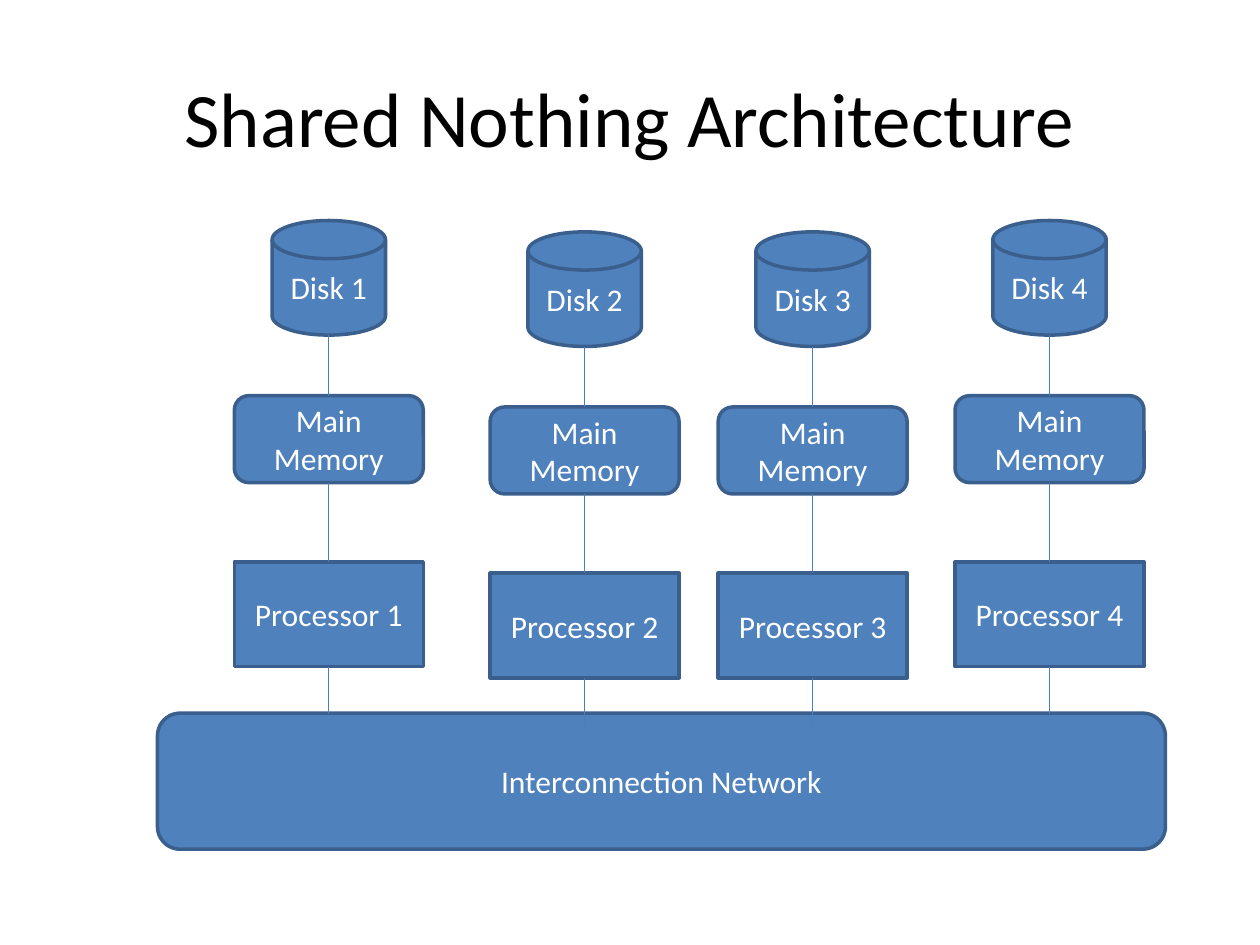
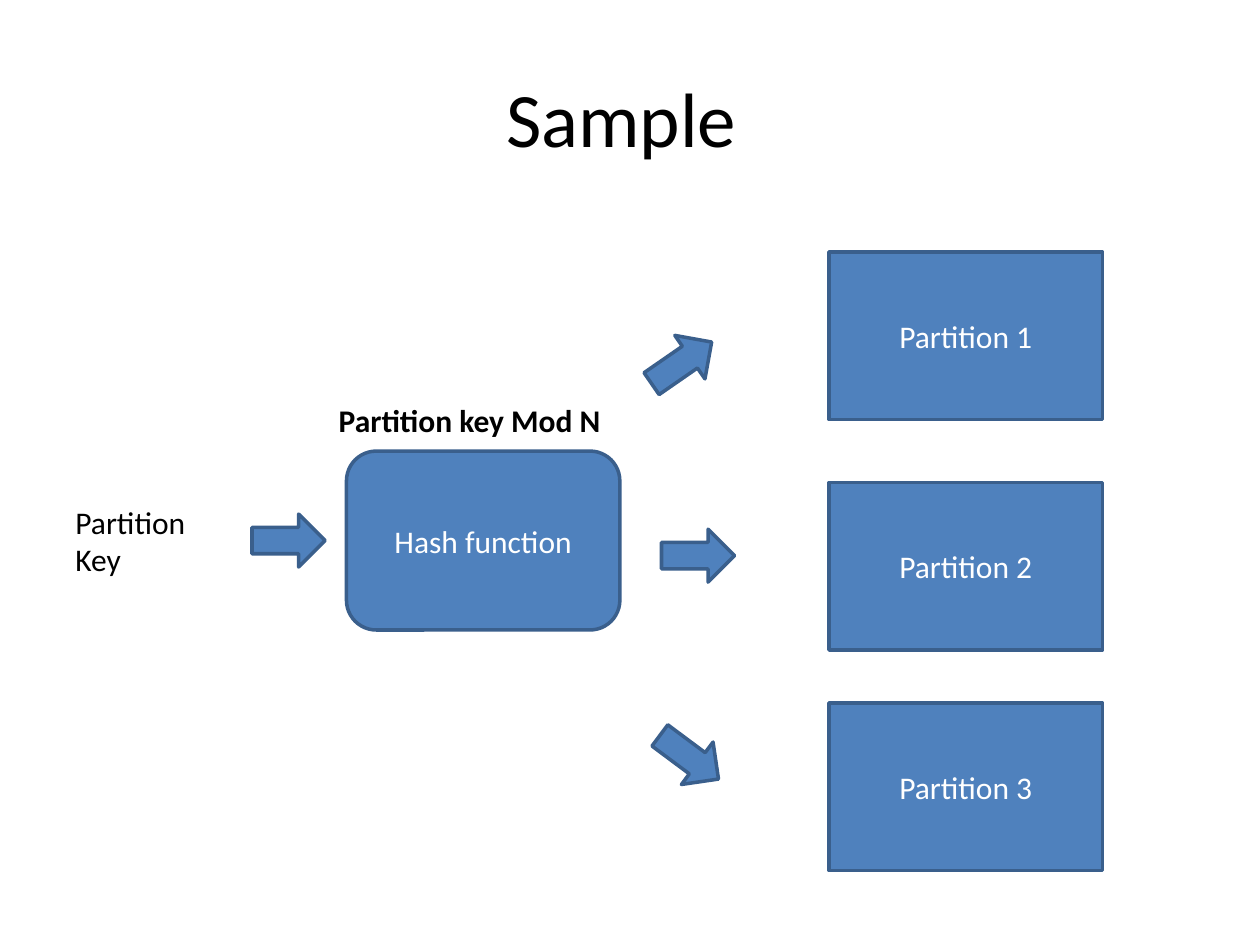
from pptx import Presentation
from pptx.dml.color import RGBColor
from pptx.enum import shapes, text
from pptx.util import Inches, Pt
from lxml import etree

BLUE = RGBColor(0x4F, 0x81, 0xBD)
EDGE = RGBColor(0x3A, 0x5F, 0x8C)
WIRE = RGBColor(0x4B, 0x7E, 0xBC)
WHITE = RGBColor(0xFF, 0xFF, 0xFF)
BLACK = RGBColor(0, 0, 0)
FONT = "Calibri"
KIND = shapes.MSO_SHAPE
DRAW = "http://schemas.openxmlformats.org/drawingml/2006/main"


def write(frame, lines, size=18, color=BLACK, align=text.PP_ALIGN.LEFT, bold=False):
    frame.word_wrap = True
    for i, line in enumerate(lines):
        para = frame.paragraphs[0] if i == 0 else frame.add_paragraph()
        para.alignment = align
        run = para.add_run()
        run.text = line
        run.font.name = FONT
        run.font.size = Pt(size)
        run.font.bold = bold
        run.font.color.rgb = color


def block(slide, kind, x, y, w, h, label=None):
    shape = slide.shapes.add_shape(kind, Inches(x), Inches(y), Inches(w), Inches(h))
    shape.shadow.inherit = False
    shape.fill.solid()
    shape.fill.fore_color.rgb = BLUE
    shape.line.color.rgb = EDGE
    shape.line.width = Pt(2)
    if label:
        shape.text_frame.vertical_anchor = text.MSO_ANCHOR.MIDDLE
        write(shape.text_frame, [label], color=WHITE, align=text.PP_ALIGN.CENTER)
    return shape


deck = Presentation()
deck.slide_width = Inches(10)
deck.slide_height = Inches(7.5)

pages = []
for head in ("Shared Nothing Architecture", "Sample "):
    page = deck.slides.add_slide(deck.slide_layouts[5])
    title = page.shapes.title
    title.left, title.top = Inches(0.5), Inches(0.3)
    title.width, title.height = Inches(9), Inches(1.25)
    title.text_frame.vertical_anchor = text.MSO_ANCHOR.MIDDLE
    write(title.text_frame, [head], 44, align=text.PP_ALIGN.CENTER)
    pages.append(page)
nodes, hashing = pages

block(nodes, KIND.ROUNDED_RECTANGLE, 1.25, 5.66, 8, 1.08, "Interconnection Network")
stacks = [(2.61, 1.75), (4.64, 1.84), (6.45, 1.84), (8.33, 1.75)]
for num, (mid, top) in enumerate(stacks, 1):
    chip = block(nodes, KIND.FLOWCHART_PROCESS, mid - 0.75, top + 2.71, 1.5, 0.83,
                 f"Processor {num}")
    store = block(nodes, KIND.ROUNDED_RECTANGLE, mid - 0.75, top + 1.39, 1.5, 0.69,
                  "Main Memory")
    block(nodes, KIND.FLOWCHART_MAGNETIC_DISK, mid - 0.45, top, 0.9, 0.91, f"Disk {num}")
    links = [(0.91, 1.39, None, store), (2.08, 2.71, store, chip), (3.54, 3.92, chip, None)]
    for start, stop, upper, lower in links:
        wire = nodes.shapes.add_connector(
            shapes.MSO_CONNECTOR.STRAIGHT,
            Inches(mid), Inches(top + start), Inches(mid), Inches(top + stop))
        if upper:
            wire.begin_connect(upper, 2)
        if lower:
            wire.end_connect(lower, 0)
        wire.line.color.rgb = WIRE
        wire.line.width = Pt(0.75)
        etree.SubElement(wire._element.spPr, f"{{{DRAW}}}effectLst")

for num, top in enumerate((2, 3.83, 5.58), 1):
    block(hashing, KIND.FLOWCHART_PROCESS, 6.58, top, 2.17, 1.33, f"Partition {num}")
block(hashing, KIND.FLOWCHART_ALTERNATE_PROCESS, 2.75, 3.58, 2.17, 1.42, "Hash function")

arrows = [(2, 4.08, 0), (5.25, 4.2, 0), (5.12, 2.67, 325.3), (5.18, 5.8, 36.7)]
for left, top, turn in arrows:
    arrow = block(hashing, KIND.RIGHT_ARROW, left, top, 0.58, 0.42)
    arrow.rotation = turn

notes = [
    (0.5, 3.94, 1.5, 0.71, ["Partition", "Key"], False),
    (2.59, 3.13, 2.33, 0.4, ["Partition key Mod N"], True),
]
for x, y, w, h, lines, bold in notes:
    box = hashing.shapes.add_textbox(Inches(x), Inches(y), Inches(w), Inches(h))
    box.text_frame.auto_size = text.MSO_AUTO_SIZE.SHAPE_TO_FIT_TEXT
    write(box.text_frame, lines, bold=bold)

deck.save("out.pptx")
